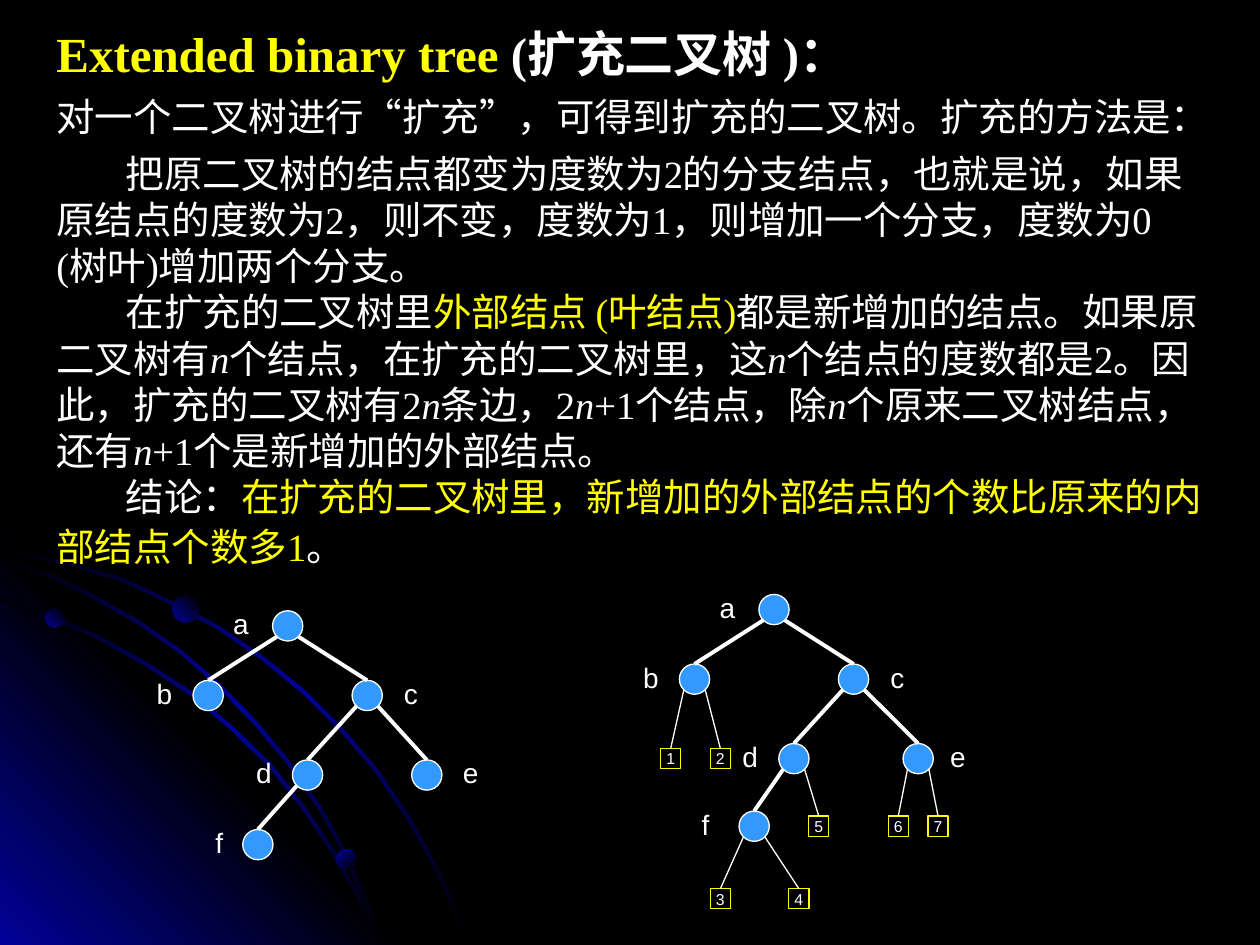
from lxml import etree
from pptx import Presentation
from pptx.dml.color import RGBColor
from pptx.enum.shapes import MSO_CONNECTOR, MSO_SHAPE
from pptx.enum.text import MSO_ANCHOR, PP_ALIGN
from pptx.oxml.ns import qn
from pptx.util import Inches, Pt

OVAL, RECT = MSO_SHAPE.OVAL, MSO_SHAPE.RECTANGLE
STRAIGHT = MSO_CONNECTOR.STRAIGHT
CENTER, MIDDLE = PP_ALIGN.CENTER, MSO_ANCHOR.MIDDLE

BLACK = RGBColor(0x00, 0x00, 0x00)
WHITE = RGBColor(0xFF, 0xFF, 0xFF)
YELLOW = RGBColor(0xFF, 0xFF, 0x00)
NAVY = RGBColor(0x01, 0x01, 0x99)
NODE_BLUE = RGBColor(0x33, 0x99, 0xFF)

WIDTH, HEIGHT = 10, 7.5
GRID_COLS = 36          # columns across a tree's box; cells are square
NODE, LEAF = 0.24, 0.16
BAND = 0.02             # thickness of a background arc

# Upper edges of the background arcs
ARCS = [
    [(0, 4.35), (0.28, 4.41), (0.57, 4.47), (0.98, 4.59), (1.36, 4.77), (1.74, 4.97),
     (2.09, 5.21), (2.42, 5.48), (2.72, 5.78), (3, 6.11), (3.25, 6.48), (3.39, 6.73),
     (3.52, 6.98), (3.62, 7.23), (3.72, 7.49)],
    [(0, 4.75), (0.41, 4.88), (0.79, 5.05), (1.17, 5.26), (1.52, 5.49), (1.84, 5.76),
     (2.15, 6.06), (2.42, 6.4), (2.66, 6.76), (2.86, 7.12), (2.96, 7.3), (3.03, 7.49)],
    [(0, 4.42), (0.39, 4.55), (0.76, 4.73), (1.11, 4.93), (1.44, 5.16), (1.75, 5.43),
     (2.04, 5.73), (2.29, 6.03), (2.54, 6.39), (2.69, 6.65), (2.82, 6.93), (2.94, 7.2),
     (3.03, 7.49)],
]
DOTS = [(0.36, 4.83, 0.15, 315), (2.67, 6.74, 0.16, 45), (1.37, 4.73, 0.21, 315)]

# Paragraphs: (size, space before, first-line indent, text);
# "|" switches yellow on and off, "_" switches italic
PARAGRAPHS = [
    (28, 0, 0, "|Extended binary tree| (扩充二叉树 )："),
    (22, 6, 0, "对一个二叉树进行“扩充”，可得到扩充的二叉树。扩充的方法是："),
    (22, 6, 0.55, "把原二叉树的结点都变为度数为2的分支结点，也就是说，如果原结点的度数为2，"
                  "则不变，度数为1，则增加一个分支，度数为0 (树叶)增加两个分支。"),
    (22, 0, 0.55, "在扩充的二叉树里|外部结点 (叶结点)|都是新增加的结点。如果原二叉树有_n_个结点，"
                  "在扩充的二叉树里，这_n_个结点的度数都是2。因此，扩充的二叉树有2_n_条边，"
                  "2_n_+1个结点，除_n_个原来二叉树结点，还有_n_+1个是新增加的外部结点。"),
    (22, 0, 0.55, "结论：|在扩充的二叉树里，新增加的外部结点的个数比原来的内部结点个数多1|。"),
]

# Nodes: name -> (column, row, label offset in columns, parent)
PLAIN_NODES = {
    "a": (15, 2, -4.7, None), "b": (7, 9, -4.4, "a"), "c": (23, 9, 4.4, "a"),
    "d": (17, 17, -4.4, "c"), "e": (29, 17, 4.4, "c"), "f": (12, 24, -3.9, "d"),
}
EXTENDED_NODES = {**PLAIN_NODES, "e": (29.5, 17, 4, "c"), "f": (13, 23.8, -4.9, "d")}
# External nodes: name -> (column, row, parent)
LEAVES = {
    "1": (4.6, 17, "b"), "2": (9.6, 17, "b"), "3": (9.6, 31.1, "f"), "4": (17.5, 31.1, "f"),
    "5": (19.5, 23.8, "d"), "6": (27.5, 23.8, "e"), "7": (31.5, 23.8, "e"),
}


def add_span(para, text, size=16, font="Arial", color=WHITE, bold=False, italic=False):
    span = para.add_run()
    span.text = text
    span.font.size, span.font.name = Pt(size), font
    span.font.bold, span.font.italic = bold, italic
    span.font.color.rgb = color


def fill_gradient(shape, colors, angle):
    """Evenly spaced colour stops along a clockwise angle."""
    shape.fill.gradient()
    shape.fill.gradient_angle = 360 - angle
    stops = shape._element.spPr.find(".//" + qn("a:gsLst"))
    stops.clear()
    for index, color in enumerate(colors):
        position = str(100000 * index // (len(colors) - 1))
        stop = etree.SubElement(stops, qn("a:gs"), pos=position)
        etree.SubElement(stop, qn("a:srgbClr"), val=str(color))
    shape.line.fill.background()
    shape.shadow.inherit = False


def add_centred(page, kind, x, y, size, line):
    shape = page.shapes.add_shape(kind, Inches(x - size / 2), Inches(y - size / 2),
                                  Inches(size), Inches(size))
    shape.shadow.inherit = False
    shape.line.color.rgb, shape.line.width = line, Pt(0.75)
    return shape


def add_outline(page, points, colors, angle):
    builder = page.shapes.build_freeform(Inches(points[0][0]), Inches(points[0][1]))
    builder.add_line_segments([(Inches(x), Inches(y)) for x, y in points[1:]])
    fill_gradient(builder.convert_to_shape(), colors, angle)


def draw_background(page, box):
    left, top, width, height = box
    bottom = top + height
    page.background.fill.solid()
    page.background.fill.fore_color.rgb = BLACK

    def draw_arc(upper):
        lower = [(max(x - BAND, 0), min(y + BAND, 7.49)) for x, y in reversed(upper)]
        add_outline(page, upper + lower, [BLACK, NAVY, BLACK], 45)

    draw_arc(ARCS[0])
    corner = [(left, bottom), (left, bottom - 3.23), (left + 3.22, bottom)]
    add_outline(page, corner, [NAVY, BLACK, NAVY], 315)
    for upper in ARCS[1:]:
        draw_arc(upper)
    for x, y, size, angle in DOTS:
        dot = page.shapes.add_shape(OVAL, *map(Inches, (x, y, size, size)))
        fill_gradient(dot, [NAVY, BLACK], angle)


def draw_text(page, box):
    frame = page.shapes.add_textbox(*map(Inches, box)).text_frame
    frame.word_wrap = True
    for index, (size, before, indent, text) in enumerate(PARAGRAPHS):
        para = frame.add_paragraph() if index else frame.paragraphs[0]
        para.space_before = Pt(before)
        para._p.get_or_add_pPr().set("indent", str(Inches(indent)))
        for part, colored in enumerate(text.split("|")):
            for piece, words in enumerate(colored.split("_")):
                if words:
                    add_span(para, words, size=size, font="Times New Roman", bold=index == 0,
                             color=YELLOW if part % 2 else WHITE, italic=piece % 2 == 1)
    add_span(para, " ", size=24, font="Times New Roman")


def add_edge(page, start, end, end_size, weight):
    """Line from the lower flank of a parent to the top of its child."""
    reach = 0.085 if end[0] > start[0] else -0.085
    edge = page.shapes.add_connector(STRAIGHT, Inches(start[0] + reach), Inches(start[1] + 0.085),
                                     Inches(end[0]), Inches(end[1] - end_size / 2))
    edge.line.color.rgb, edge.line.width = WHITE, Pt(weight)
    etree.SubElement(edge._element.spPr, qn("a:effectLst"))


def draw_tree(page, box, nodes, leaves):
    left, top, width = box
    cell = width / GRID_COLS

    def place(column, row):
        return left + column * cell, top + row * cell

    centres = {name: place(*node[:2]) for name, node in nodes.items()}

    # Nodes
    for x, y in centres.values():
        node = add_centred(page, OVAL, x, y, NODE, WHITE)
        node.fill.solid()
        node.fill.fore_color.rgb = NODE_BLUE

    # Labels
    for name, (_, _, offset, _) in nodes.items():
        x, y = centres[name]
        label = page.shapes.add_textbox(Inches(x + offset * cell - 0.16), Inches(y - 0.2),
                                        Inches(0.32), Inches(0.37)).text_frame
        label.word_wrap = False
        label.paragraphs[0].alignment = CENTER
        add_span(label.paragraphs[0], name)

    # Edges between nodes
    for name, (_, _, _, parent) in nodes.items():
        if parent:
            add_edge(page, centres[parent], centres[name], NODE, 2.25)

    # External nodes
    for name, (column, row, parent) in leaves.items():
        x, y = place(column, row)
        leaf = add_centred(page, RECT, x, y, LEAF, YELLOW)
        leaf.fill.background()
        frame = leaf.text_frame
        frame.margin_left = frame.margin_right = frame.margin_top = frame.margin_bottom = 0
        frame.word_wrap, frame.vertical_anchor = False, MIDDLE
        frame.paragraphs[0].alignment = CENTER
        add_span(frame.paragraphs[0], name, size=9)
        add_edge(page, centres[parent], (x, y), LEAF, 0.75)


def main():
    deck = Presentation()
    deck.slide_width, deck.slide_height = Inches(WIDTH), Inches(HEIGHT)
    page = deck.slides.add_slide(deck.slide_layouts[6])
    draw_background(page, (0, 0, WIDTH, HEIGHT))
    draw_text(page, (0.35, 0.14, 9.37, 4.48))
    draw_tree(page, (1.1, 4.81, 2.84), PLAIN_NODES, {})
    draw_tree(page, (4.96, 4.68, 2.84), EXTENDED_NODES, LEAVES)
    deck.save("out.pptx")


if __name__ == "__main__":
    main()
